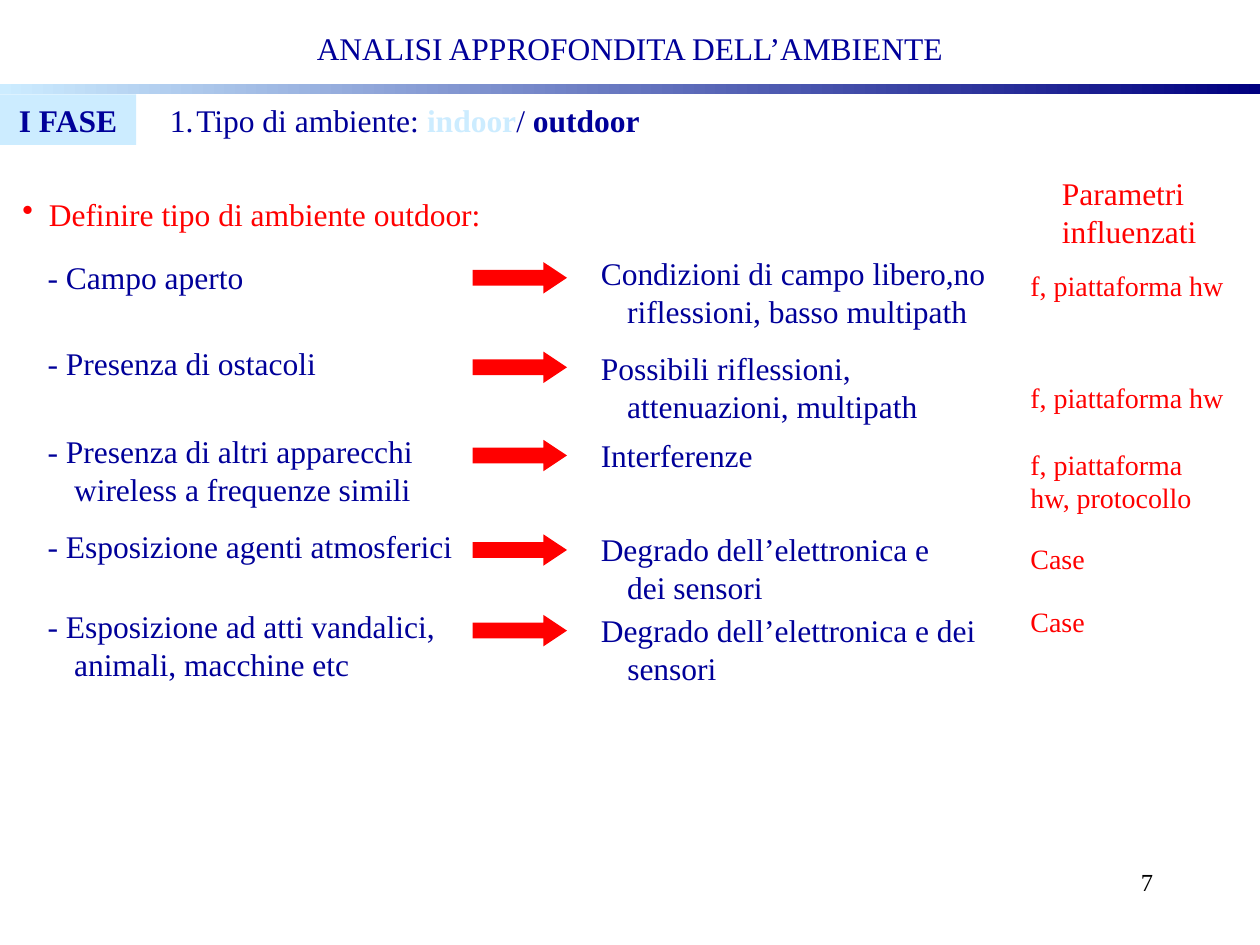
from dataclasses import dataclass
from typing import Optional

from lxml.etree import SubElement
from pptx import Presentation
from pptx.dml.color import RGBColor
from pptx.enum.shapes import MSO_SHAPE as Preset
from pptx.enum.text import MSO_ANCHOR as Anchor, PP_ALIGN as Align
from pptx.oxml.ns import qn
from pptx.util import Inches, Pt


@dataclass(frozen=True)
class Theme:
    """Colours, font and type sizes of the slide."""
    navy: str = "000099"
    dark: str = "000080"
    pale: str = "CCECFF"
    red: str = "FF0000"
    black: str = "000000"
    font: str = "Times New Roman"
    body: int = 18
    small: int = 16
    number: int = 14
    hanging: float = 0.21


@dataclass(frozen=True)
class Box:
    """Position and size in inches."""
    left: float
    top: float
    width: float
    height: float


@dataclass(frozen=True)
class Run:
    """A piece of text with its own colour and weight."""
    text: str
    color: str
    bold: bool = False


@dataclass(frozen=True)
class Row:
    """One environment feature, its effect and the parameters it touches."""
    label: str
    label_top: float
    label_height: float
    arrow_top: float
    effect: str
    effect_box: Box
    parameters: str
    parameters_top: float
    parameters_height: float = 0.37


THEME = Theme()
LABEL_LEFT, LABEL_WIDTH = 0.28, 3.6
PARAMETERS_LEFT, PARAMETERS_WIDTH = 8.08, 1.75
ROWS = (
    Row("- Campo aperto", 2, 0.4, 2.08,
        "Condizioni di campo libero,no riflessioni, basso multipath",
        Box(4.67, 1.97, 3.5, 0.7), "f, piattaforma hw", 2.08),
    Row("- Presenza di ostacoli", 2.68, 0.4, 2.79,
        "Possibili riflessioni, attenuazioni, multipath",
        Box(4.67, 2.72, 3.33, 0.7), "f, piattaforma hw", 2.97),
    Row("- Presenza di altri apparecchi wireless a frequenze simili", 3.38, 0.7, 3.49,
        "Interferenze",
        Box(4.67, 3.41, 4.33, 0.4), "f, piattaforma hw, protocollo", 3.5, 0.64),
    Row("- Esposizione agenti atmosferici", 4.13, 0.4, 4.24,
        "Degrado dell’elettronica e dei sensori",
        Box(4.67, 4.16, 3.17, 0.7), "Case", 4.25),
    Row("- Esposizione ad atti vandalici, animali, macchine etc", 4.77, 0.7, 4.88,
        "Degrado dell’elettronica e dei sensori",
        Box(4.67, 4.8, 3.25, 0.7), "Case", 4.75),
)


def rgb(color: str) -> RGBColor:
    """Turn a hex string into a colour."""
    return RGBColor.from_string(color)


def place(box: Box) -> tuple:
    """Give a box as the four lengths a shape needs."""
    return Inches(box.left), Inches(box.top), Inches(box.width), Inches(box.height)


def add_preset(slide, preset: Preset, box: Box, color: Optional[str] = None):
    """Draw a preset shape without line or shadow, filled when a colour is given."""
    shape = slide.shapes.add_shape(preset, *place(box))
    shape.shadow.inherit = False
    shape.line.fill.background()
    if color:
        shape.fill.solid()
        shape.fill.fore_color.rgb = rgb(color)
    return shape


def set_hanging(paragraph, bullet: Optional[tuple], color: str) -> None:
    """Give the paragraph a hanging indent and, if wanted, a coloured bullet."""
    properties = paragraph._p.get_or_add_pPr()
    properties.set("marL", str(Inches(THEME.hanging)))
    properties.set("indent", str(-Inches(THEME.hanging)))
    if bullet:
        tag, attribute, value = bullet
        bullet_color = SubElement(properties, qn("a:buClr"))
        SubElement(bullet_color, qn("a:srgbClr")).set("val", color)
        SubElement(properties, qn(tag)).set(attribute, value)


def write(shape, runs: tuple[Run, ...], size: int = THEME.body, align: Align = Align.LEFT,
          anchor: Anchor = Anchor.TOP, hanging: bool = False,
          bullet: Optional[tuple] = None) -> None:
    """Fill a shape with one styled paragraph."""
    frame = shape.text_frame
    frame.word_wrap = True
    frame.vertical_anchor = anchor
    paragraph = frame.paragraphs[0]
    paragraph.alignment = align
    if hanging:
        set_hanging(paragraph, bullet, runs[0].color)
    paragraph.font.name = THEME.font
    paragraph.font.size = Pt(size)
    for item in runs:
        run = paragraph.add_run()
        run.text = item.text
        run.font.color.rgb = rgb(item.color)
        run.font.bold = item.bold


def add_text(slide, box: Box, *runs: Run, **style) -> None:
    """Add a text box holding one paragraph."""
    write(slide.shapes.add_textbox(*place(box)), runs, **style)


def draw_header(slide) -> None:
    """Draw the title, the gradient band and the phase line."""
    band = add_preset(slide, Preset.RECTANGLE, Box(0, 0.67, 10, 0.08))
    band.fill.gradient()
    band.fill.gradient_angle = 0
    for stop, color in zip(band.fill.gradient_stops, (THEME.pale, THEME.dark)):
        stop.color.rgb = rgb(color)
    add_text(slide, Box(0.75, 0.17, 8.5, 0.42),
             Run("ANALISI APPROFONDITA DELL’AMBIENTE", THEME.navy),
             align=Align.CENTER, anchor=Anchor.MIDDLE)
    phase = add_preset(slide, Preset.RECTANGLE, Box(0, 0.75, 1.08, 0.4), THEME.pale)
    write(phase, (Run("I FASE", THEME.navy, True),), align=Align.CENTER)
    add_text(slide, Box(1.25, 0.75, 7.83, 0.4),
             Run("Tipo di ambiente: ", THEME.navy), Run("indoor", THEME.pale, True),
             Run("/ ", THEME.navy), Run("outdoor", THEME.navy, True),
             hanging=True, bullet=("a:buAutoNum", "type", "arabicPeriod"))


def draw_row(slide, row: Row) -> None:
    """Draw a feature, its arrow, its effect and its parameters."""
    add_text(slide, Box(LABEL_LEFT, row.label_top, LABEL_WIDTH, row.label_height),
             Run(row.label, THEME.navy), hanging=True)
    arrow = add_preset(slide, Preset.RIGHT_ARROW, Box(3.75, row.arrow_top, 0.75, 0.25), THEME.red)
    arrow.adjustments[1] = 0.75
    add_text(slide, row.effect_box, Run(row.effect, THEME.navy), hanging=True)
    add_text(slide, Box(PARAMETERS_LEFT, row.parameters_top, PARAMETERS_WIDTH,
                        row.parameters_height),
             Run(row.parameters, THEME.red), size=THEME.small)


def main() -> None:
    """Build the slide and save it."""
    presentation = Presentation()
    presentation.slide_width, presentation.slide_height = Inches(10), Inches(7.5)
    slide = presentation.slides.add_slide(presentation.slide_layouts[6])
    draw_header(slide)
    add_text(slide, Box(0.08, 1.5, 4.83, 0.4),
             Run("Definire tipo di ambiente outdoor:", THEME.red),
             hanging=True, bullet=("a:buChar", "char", "•"))
    add_text(slide, Box(8.33, 1.33, 1.5, 0.7), Run("Parametri influenzati", THEME.red))
    for row in ROWS:
        draw_row(slide, row)
    add_text(slide, Box(7.17, 6.83, 2.08, 0.5), Run("7", THEME.black),
             size=THEME.number, align=Align.RIGHT)
    presentation.save("out.pptx")


if __name__ == "__main__":
    main()
